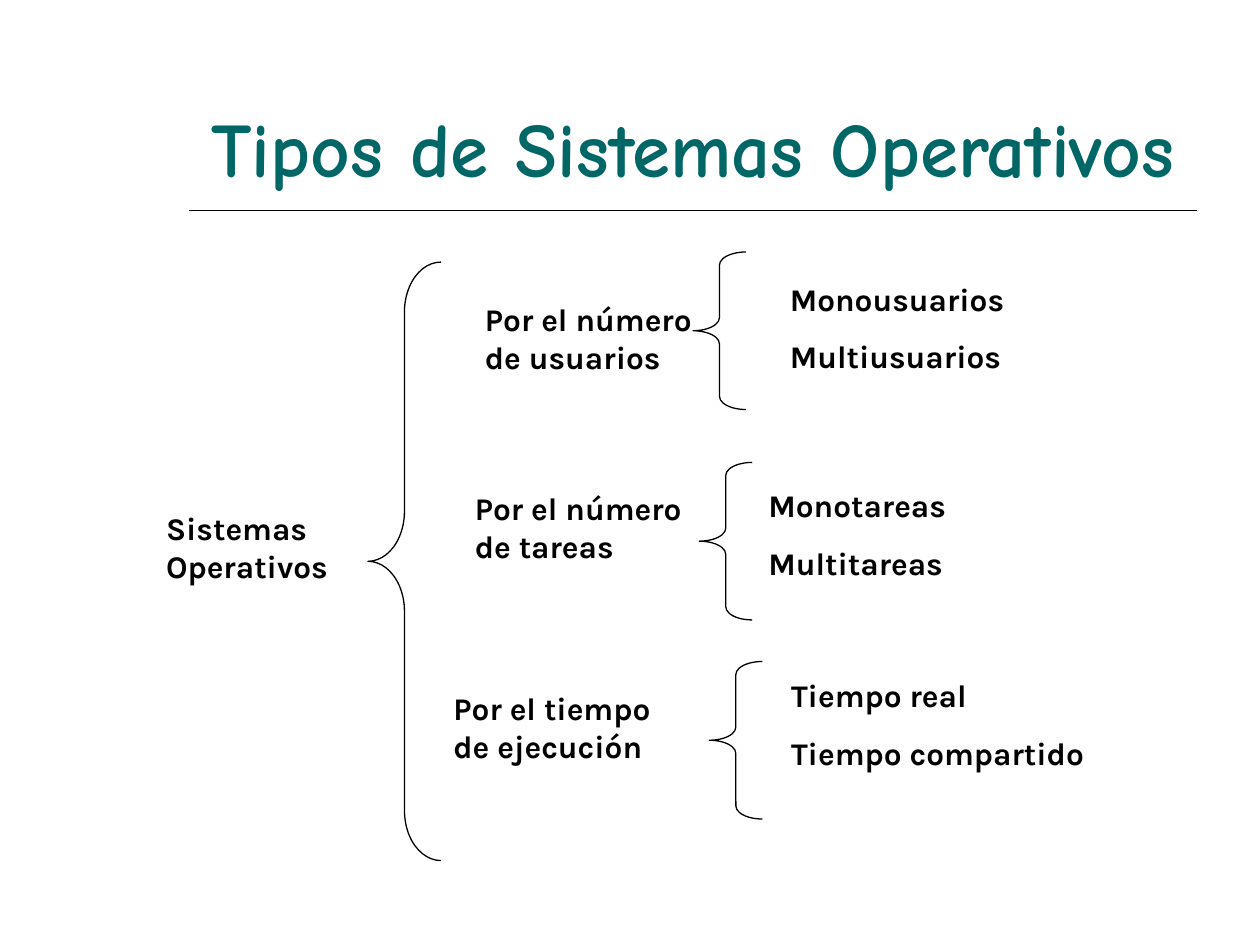
from dataclasses import dataclass

import pptx
import pptx.dml.color
import pptx.enum.shapes
import pptx.enum.text
import pptx.oxml.ns
import pptx.util
from lxml import etree

Inches = pptx.util.Inches
Pt = pptx.util.Pt
Color = pptx.dml.color.RGBColor
Align = pptx.enum.text.PP_ALIGN
Anchor = pptx.enum.text.MSO_ANCHOR


@dataclass(frozen=True)
class Theme:
    title_color: Color = Color(0x00, 0x66, 0x66)
    ink: Color = Color(0x00, 0x00, 0x00)
    title_font: str = "Comic Neue"
    body_font: str = "Karla"
    title_size: float = 44
    body_size: float = 18
    gap: float = 11.2
    rule_width: float = 1
    brace_width: float = 0.75


THEME = Theme()


def add_text(s, box, lines, font, size, color, align=Align.LEFT, anchor=Anchor.TOP):
    tf = s.shapes.add_textbox(*map(Inches, box)).text_frame
    tf.word_wrap = True
    tf.vertical_anchor = anchor
    for i, line in enumerate(lines):
        p = tf.paragraphs[0] if i == 0 else tf.add_paragraph()
        p.alignment = align
        if i:
            p.space_before = Pt(THEME.gap)
        r = p.add_run()
        r.text = line
        r.font.name = font
        r.font.size = Pt(size)
        r.font.bold = True
        r.font.color.rgb = color


def add_title(s, text):
    add_text(s, (1.5, 0.01, 8, 1.57), [text], THEME.title_font, THEME.title_size,
             THEME.title_color, Align.CENTER, Anchor.BOTTOM)


def add_label(s, left, top, width, height, *lines):
    add_text(s, (left, top, width, height), lines,
             THEME.body_font, THEME.body_size, THEME.ink)


def add_rule(s, x1, x2, y):
    line = s.shapes.add_connector(pptx.enum.shapes.MSO_CONNECTOR.STRAIGHT,
                                  Inches(x1), Inches(y), Inches(x2), Inches(y))
    line.line.color.rgb = THEME.ink
    line.line.width = Pt(THEME.rule_width)
    etree.SubElement(line._element.spPr, pptx.oxml.ns.qn("a:effectLst"))


def add_brace(s, left, top, width, height):
    sp = s.shapes.add_shape(pptx.enum.shapes.MSO_SHAPE.LEFT_BRACE,
                            *map(Inches, (left, top, width, height)))
    sp.adjustments[0] = height / width / 12
    sp.shadow.inherit = False
    sp.fill.background()
    sp.line.color.rgb = THEME.ink
    sp.line.width = Pt(THEME.brace_width)


def add_branch(s, label_at, label, brace_at, items_at, items):
    add_label(s, *label_at, 1.92, 0.7, label)
    add_brace(s, *brace_at, 0.42, 1.25)
    add_label(s, *items_at, 3.23, 0.86, *items)


def main():
    prs = pptx.Presentation()
    prs.slide_width = Inches(10)
    prs.slide_height = Inches(7.5)
    s = prs.slides.add_slide(prs.slide_layouts[6])

    add_rule(s, 1.5, 9.5, 1.67)
    add_title(s, "Tipos de Sistemas Operativos")
    add_label(s, 1.22, 3.99, 1.92, 0.7, "Sistemas Operativos")
    add_brace(s, 2.92, 2.08, 0.58, 4.75)

    branches = [
        ((3.75, 2.33), "Por el número de usuarios", (5.5, 2),
         (6.17, 2.17), ("Monousuarios", "Multiusuarios")),
        ((3.67, 3.83), "Por el número de tareas", (5.55, 3.67),
         (6, 3.81), ("Monotareas", "Multitareas")),
        ((3.5, 5.42), "Por el tiempo de ejecución", (5.63, 5.25),
         (6.18, 5.32), ("Tiempo real", "Tiempo compartido")),
    ]
    for branch in branches:
        add_branch(s, *branch)

    prs.save("out.pptx")


if __name__ == "__main__":
    main()
